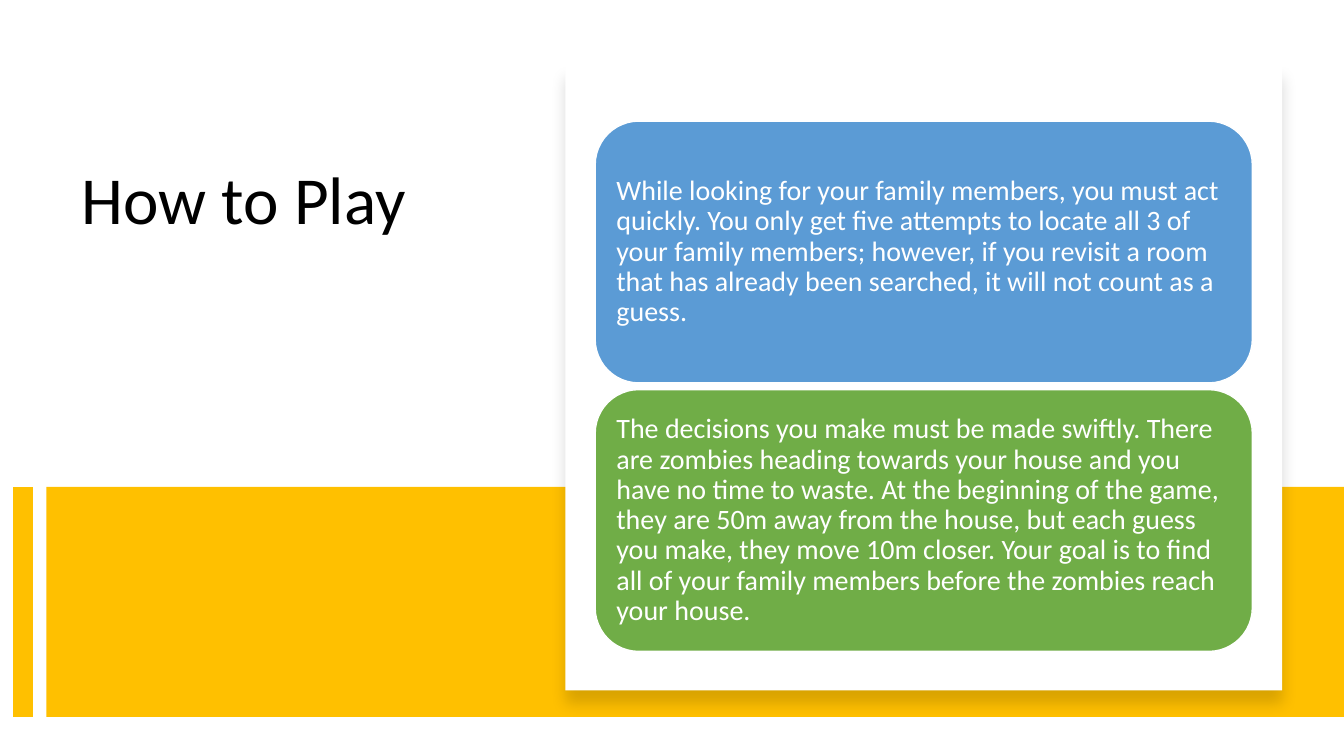
from dataclasses import dataclass
from lxml import etree
from pptx import Presentation
from pptx.dml.color import RGBColor
from pptx.enum import shapes, text
from pptx.oxml import ns
from pptx.util import Pt

# Content
TITLE = "How to Play"
RULES = [
    ("While looking for your family members, you must act quickly. "
     "You only get five attempts to locate all 3 of your family members; "
     "however, if you revisit a room that has already been searched, "
     "it will not count as a guess.", "5B9BD5"),
    ("The decisions you make must be made swiftly. There are zombies heading "
     "towards your house and you have no time to waste. At the beginning of "
     "the game, they are 50m away from the house, but each guess you make, "
     "they move 10m closer. Your goal is to find all of your family members "
     "before the zombies reach your house.", "70AD47"),
]


@dataclass
class Theme:
    font: str = "Calibri"
    ink: str = "000000"
    paper: str = "FFFFFF"
    gold: str = "FFC000"
    head: int = 48
    body: int = 20


theme = Theme()

# Layout, in points
WIDE, HIGH = 960, 540
BAND = (33.1, 347.8, WIDE - 33.1, 164.2)
BAR_X, BAR_W = 16.6, 14
PANEL = (403.9, 46.1, 511.9, 447.1)
BOX_W, BOX_H, BOX_TOP, GAP = 469.4, 187, 86.5, 4.8


def color(code):
    return RGBColor.from_string(code)


def add_box(slide, kind, box, fill):
    shape = slide.shapes.add_shape(kind, *map(Pt, box))
    shape.shadow.inherit = False
    shape.fill.solid()
    shape.fill.fore_color.rgb = color(fill)
    shape.line.fill.background()
    return shape


def write(frame, words, size, ink, anchor):
    frame.word_wrap = True
    frame.auto_size = text.MSO_AUTO_SIZE.NONE
    frame.vertical_anchor = anchor
    para = frame.paragraphs[0]
    para.alignment = text.PP_ALIGN.LEFT
    para.line_spacing = 0.9
    run = para.add_run()
    run.text = words
    run.font.name = theme.font
    run.font.size = Pt(size)
    run.font.color.rgb = color(ink)


def add_glow(shape):
    """Soft shadow straight below the panel."""
    effect = shape._element.spPr.find(ns.qn("a:effectLst"))
    outer = etree.SubElement(
        effect, ns.qn("a:outerShdw"), blurRad=str(Pt(11)), dist=str(Pt(10)),
        dir="5400000", algn="t", rotWithShape="0")
    tint = etree.SubElement(outer, ns.qn("a:srgbClr"), val=theme.ink)
    etree.SubElement(tint, ns.qn("a:alpha"), val="15000")


def main():
    deck = Presentation()
    deck.slide_width, deck.slide_height = Pt(WIDE), Pt(HIGH)
    slide = deck.slides.add_slide(deck.slide_layouts[5])
    rect = shapes.MSO_SHAPE.RECTANGLE

    # Title
    title = slide.shapes.title
    title.left, title.top, title.width, title.height = map(
        Pt, (51.1, 115.2, 298.8, 211.7))
    write(title.text_frame, TITLE, theme.head, theme.ink,
          text.MSO_ANCHOR.TOP)

    # Gold band and side bar
    add_box(slide, rect, BAND, theme.gold)
    top, end = BAND[1], BAND[1] + BAND[3]
    bar = slide.shapes.add_connector(
        shapes.MSO_CONNECTOR.STRAIGHT, Pt(BAR_X), Pt(top), Pt(BAR_X), Pt(end))
    bar.line.color.rgb = color(theme.gold)
    bar.line.width = Pt(BAR_W)
    etree.SubElement(bar._element.spPr, ns.qn("a:effectLst"))

    # White panel
    add_glow(add_box(slide, rect, PANEL, theme.paper))

    # Rule boxes, centred across the panel
    left = PANEL[0] + (PANEL[2] - BOX_W) / 2
    for row, (words, fill) in enumerate(RULES):
        y = BOX_TOP + row * (BOX_H + GAP)
        box = add_box(slide, shapes.MSO_SHAPE.ROUNDED_RECTANGLE,
                      (left, y, BOX_W, BOX_H), fill)
        box.line.color.rgb = color(theme.paper)
        box.line.width = Pt(1)
        frame = box.text_frame
        frame.margin_left = frame.margin_right = Pt(6)
        frame.margin_top = frame.margin_bottom = Pt(6)
        write(frame, words, theme.body, theme.paper, text.MSO_ANCHOR.MIDDLE)

    deck.save("out.pptx")


if __name__ == "__main__":
    main()
